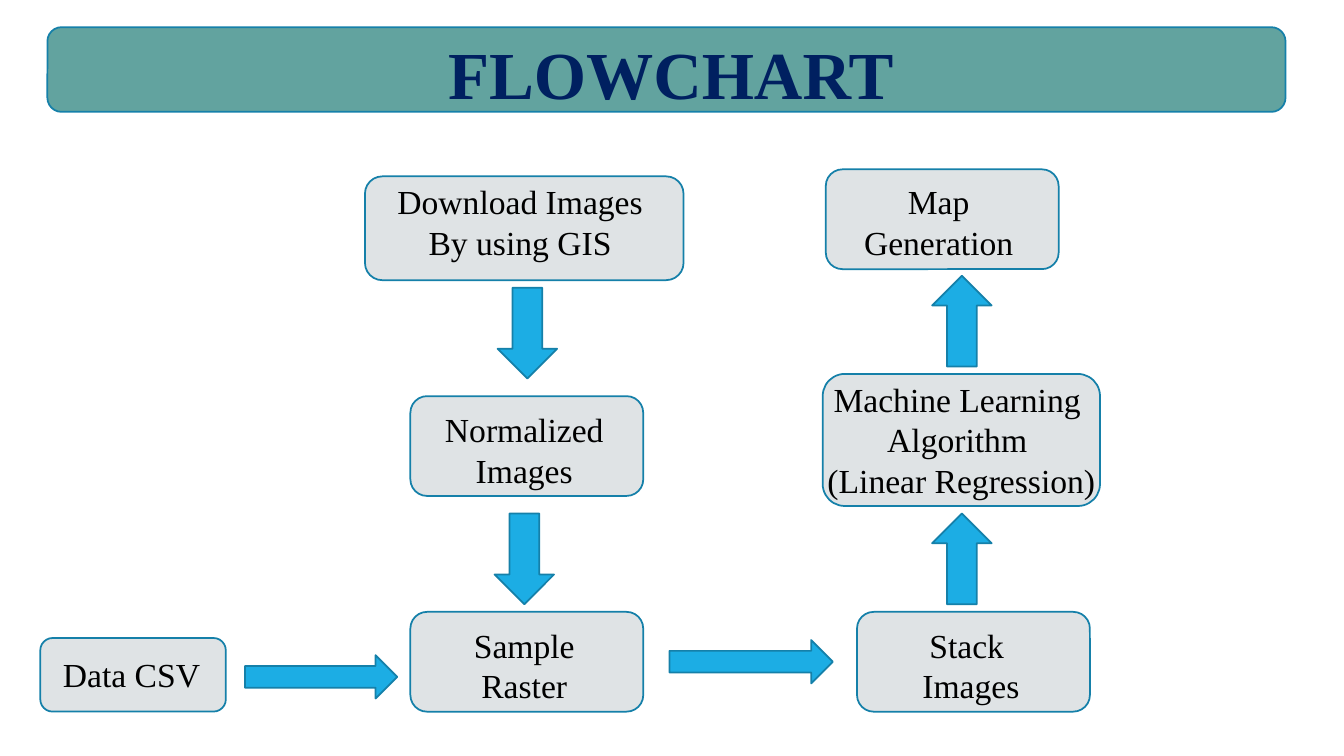
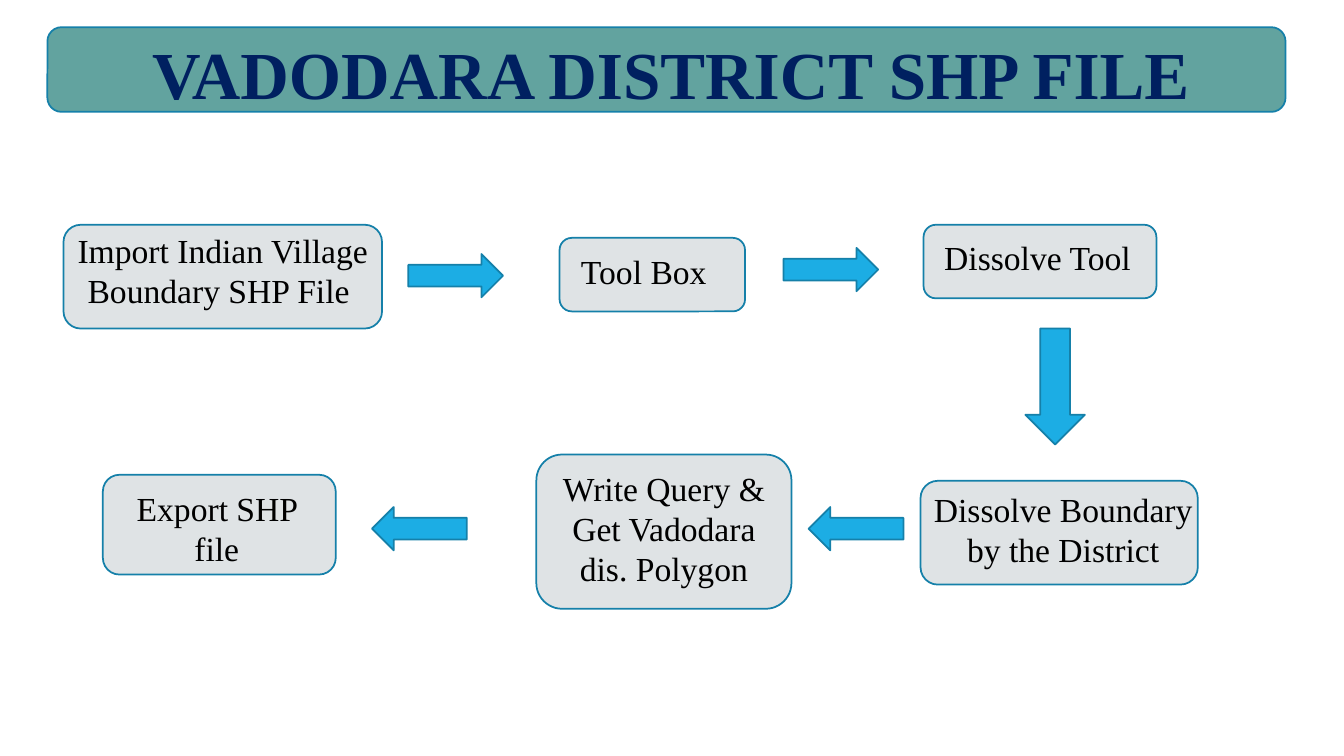
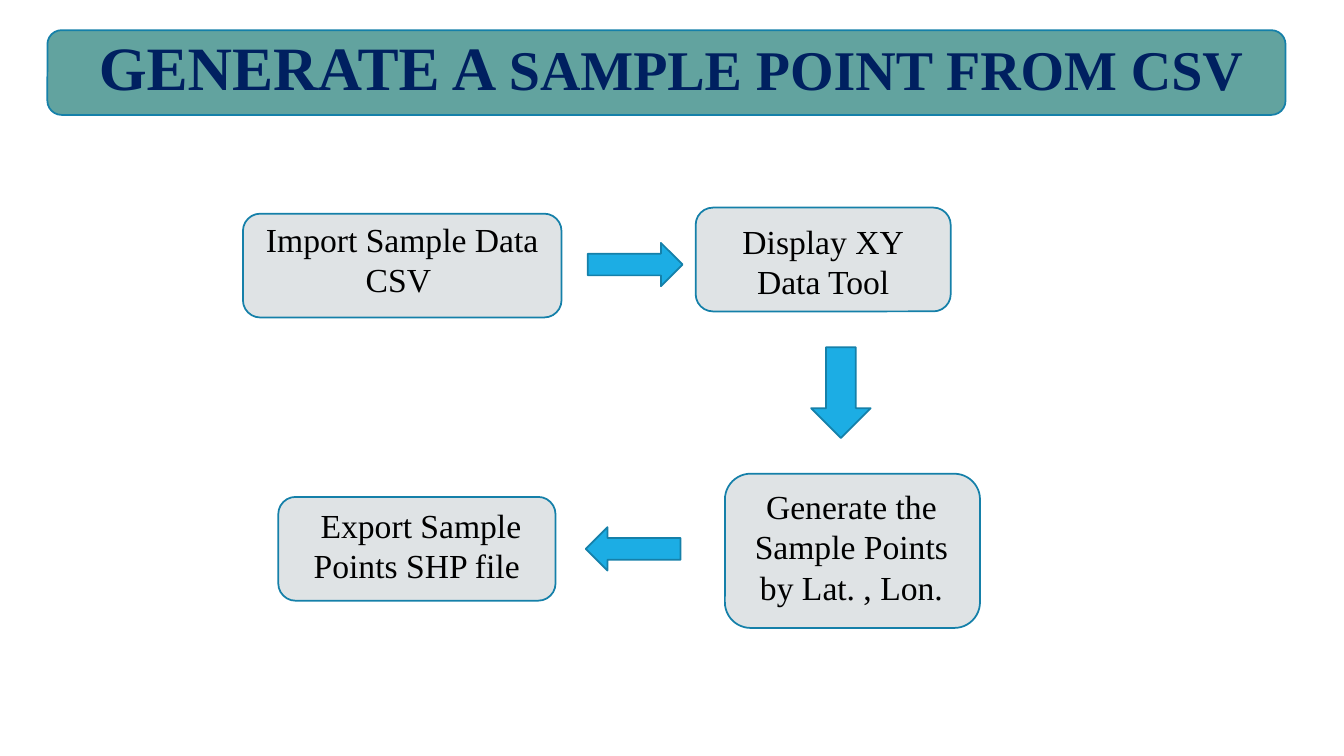
from pptx import Presentation
from pptx.dml.color import RGBColor
from pptx.enum.shapes import MSO_SHAPE
from pptx.enum.text import MSO_ANCHOR, MSO_AUTO_SIZE, PP_ALIGN
from pptx.util import Inches, Pt

NAVY = RGBColor(0x00, 0x20, 0x60)
BLACK = RGBColor(0x00, 0x00, 0x00)
TEAL = RGBColor(0x62, 0xA3, 0x9F)
PALE_GREY = RGBColor(0xDF, 0xE3, 0xE5)
SKY_BLUE = RGBColor(0x1C, 0xAD, 0xE4)
OUTLINE = RGBColor(0x15, 0x80, 0xA9)

FONT = "Times New Roman"
HEADING = {"name": FONT, "bold": True}
LABEL = {"name": FONT, "size": Pt(24)}
FRAME = {"word_wrap": True, "vertical_anchor": MSO_ANCHOR.TOP}
INSETS = {
    "margin_left": Inches(0.1),
    "margin_right": Inches(0.1),
    "margin_top": Inches(0.05),
    "margin_bottom": Inches(0.05),
}
DIRECTIONS = {
    "right": (0, 0.43),
    "down": (90, 0.59),
    "left": (180, 0.43),
    "up": (270, 0.59),
}

BAND = (0.47, 0.27, 12.28, 0.84)
TITLE = (0.55, 0.27, 12.21, 0.91)

FLOWCHART = {
    "heading": [("FLOWCHART", 48)],
    "steps": [
        ("Download Images \nBy using GIS ", (3.62, 1.75, 3.16, 1.03), (3.62, 1.75, 3.16, 0.91)),
        ("Normalized Images", (4.07, 3.93, 2.31, 0.99), (4.15, 4.01, 2.1, 0.91)),
        ("Sample Raster", (4.07, 6.07, 2.31, 0.99), (4.15, 6.15, 2.1, 0.91)),
        ("Stack \nImages", (8.5, 6.07, 2.31, 0.99), (8.58, 6.15, 2.1, 0.91)),
        ("Machine Learning \nAlgorithm \n(Linear Regression)",
         (8.16, 3.71, 2.75, 1.31), (7.99, 3.71, 3.09, 1.31)),
        ("Map Generation", (8.19, 1.68, 2.31, 0.99), (8.26, 1.75, 2.1, 0.91)),
        ("Data CSV", (0.4, 6.33, 1.84, 0.73), (0.36, 6.44, 1.89, 0.5)),
    ],
    "arrows": [
        ("right", 2.43, 6.5, 1.51),
        ("down", 4.78, 3.01, 0.9),
        ("down", 4.75, 5.25, 0.9),
        ("right", 6.64, 6.35, 1.62),
        ("up", 9.09, 2.89, 0.9),
        ("up", 9.09, 5.25, 0.9),
    ],
}

DISTRICT = {
    "heading": [("VADODARA DISTRICT SHP FILE", 48)],
    "steps": [
        ("Import Indian Village Boundary SHP File ",
         (0.63, 2.23, 3.16, 1.03), (0.63, 2.23, 3.16, 0.91)),
        ("Tool Box", (5.55, 2.36, 1.84, 0.73), (5.63, 2.44, 1.51, 0.5)),
        ("Dissolve Tool", (9.16, 2.23, 2.31, 0.73), (9.24, 2.3, 2.1, 0.5)),
        ("Dissolve Boundary by the District",
         (9.13, 4.77, 2.75, 1.03), (9.16, 4.8, 2.77, 0.91)),
        ("Write Query & Get Vadodara dis. Polygon",
         (5.32, 4.51, 2.53, 1.53), (5.4, 4.59, 2.37, 1.31)),
        ("Export SHP file", (1.02, 4.71, 2.31, 0.99), (1.1, 4.79, 2.1, 0.91)),
    ],
    "arrows": [
        ("right", 4.05, 2.52, 0.94),
        ("right", 7.77, 2.46, 0.94),
        ("left", 8.02, 5.03, 0.94),
        ("left", 3.69, 5.03, 0.94),
        ("down", 9.89, 3.54, 1.15),
    ],
}

SAMPLE_POINTS = {
    "heading": [("GENERATE A ", 44), ("SAMPLE POINT FROM CSV", 40)],
    "band": (0.47, 0.3, 12.28, 0.84),
    "title": (0.55, 0.24, 12.21, 0.84),
    "steps": [
        ("Import Sample Data CSV ", (2.41, 2.12, 3.16, 1.03), (2.41, 2.12, 3.16, 0.91)),
        ("Export Sample Points SHP file ", (2.76, 4.93, 2.75, 1.03), (2.79, 4.96, 2.77, 0.91)),
        ("Display XY\nData Tool", (6.9, 2.06, 2.53, 1.03), (6.98, 2.14, 2.37, 0.91)),
        ("Generate the Sample Points by Lat. , Lon.",
         (7.19, 4.7, 2.53, 1.53), (7.26, 4.77, 2.37, 1.31)),
    ],
    "arrows": [
        ("right", 5.83, 2.41, 0.94),
        ("left", 5.81, 5.23, 0.94),
        ("down", 7.89, 3.6, 0.9),
    ],
}


def apply_format(target, values):
    for attribute, value in values.items():
        setattr(target, attribute, value)


def inches(area):
    return [Inches(length) for length in area]


def style_run(run, values, colour):
    apply_format(run.font, values)
    run.font.color.rgb = colour


def add_block(slide, preset, area, fill):
    block = slide.shapes.add_shape(preset, *inches(area))
    block.shadow.inherit = False
    block.fill.solid()
    block.fill.fore_color.rgb = fill
    block.line.color.rgb = OUTLINE
    block.line.width = Pt(1.25)
    return block


def add_heading(slide, heading, band_area, title_area):
    band = add_block(slide, MSO_SHAPE.ROUNDED_RECTANGLE, band_area, TEAL)
    title = slide.shapes.title
    band.element.addnext(title.element)
    title.left, title.top, title.width, title.height = inches(title_area)
    frame = title.text_frame
    apply_format(frame, {**FRAME, **INSETS, "auto_size": MSO_AUTO_SIZE.NONE})
    paragraph = frame.paragraphs[0]
    paragraph.alignment = PP_ALIGN.CENTER
    for words, size in heading:
        run = paragraph.add_run()
        run.text = words
        style_run(run, {**HEADING, "size": Pt(size)}, NAVY)


def add_step(slide, words, box_area, label_area):
    add_block(slide, MSO_SHAPE.ROUNDED_RECTANGLE, box_area, PALE_GREY)
    frame = slide.shapes.add_textbox(*inches(label_area)).text_frame
    apply_format(frame, {**FRAME, "auto_size": MSO_AUTO_SIZE.SHAPE_TO_FIT_TEXT})
    frame.text = words
    for paragraph in frame.paragraphs:
        paragraph.alignment = PP_ALIGN.CENTER
        for run in paragraph.runs:
            style_run(run, LABEL, BLACK)


def add_arrow(slide, direction, left, top, length):
    rotation, thickness = DIRECTIONS[direction]
    arrow = add_block(slide, MSO_SHAPE.RIGHT_ARROW, (left, top, length, thickness), SKY_BLUE)
    arrow.rotation = rotation


def add_process(presentation, process):
    slide = presentation.slides.add_slide(presentation.slide_layouts[5])
    add_heading(slide, process["heading"], process.get("band", BAND), process.get("title", TITLE))
    for step in process["steps"]:
        add_step(slide, *step)
    for arrow in process["arrows"]:
        add_arrow(slide, *arrow)


def main():
    presentation = Presentation()
    presentation.slide_width = Inches(13.33)
    presentation.slide_height = Inches(7.5)
    for process in (FLOWCHART, DISTRICT, SAMPLE_POINTS):
        add_process(presentation, process)
    presentation.save("out.pptx")


if __name__ == "__main__":
    main()
